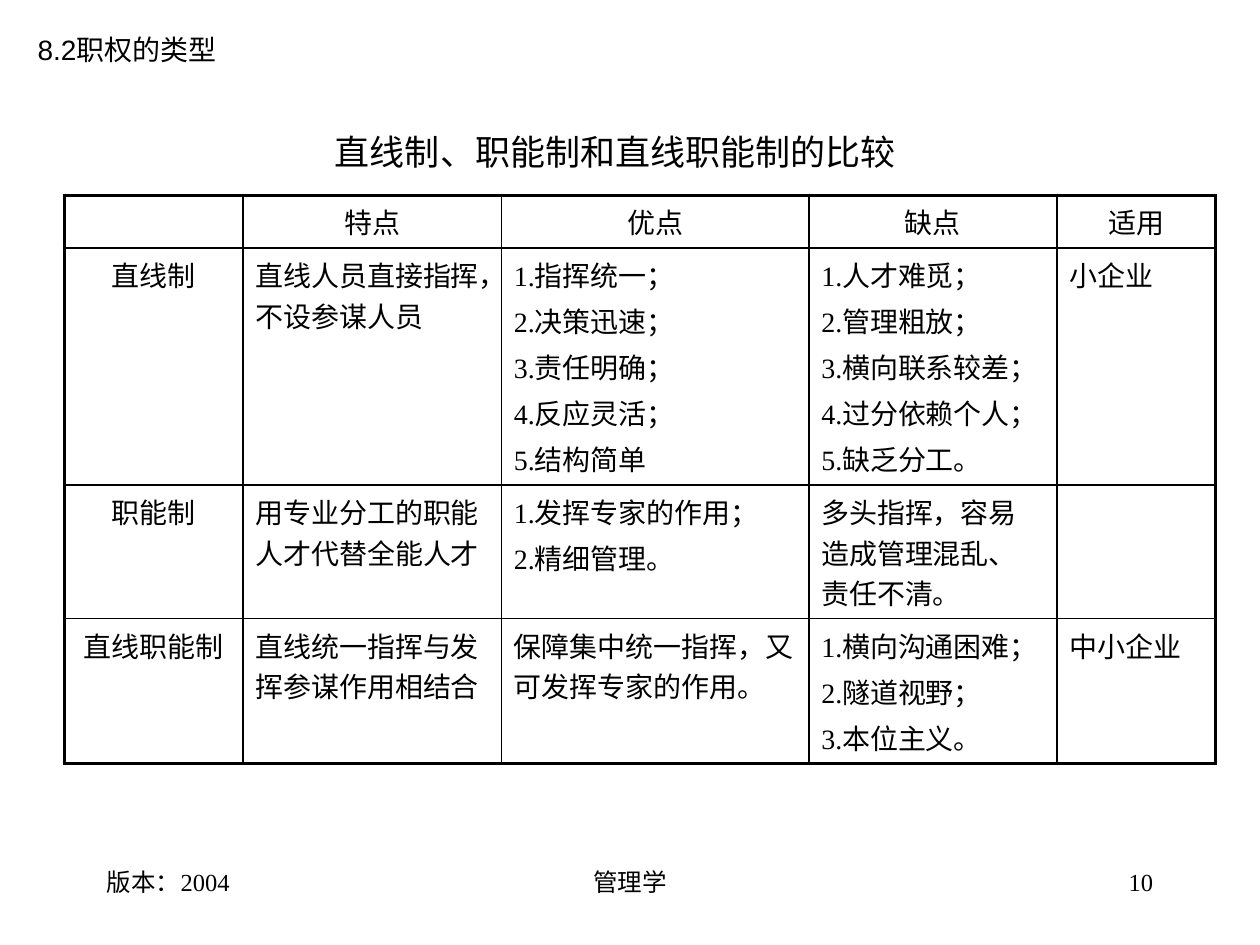
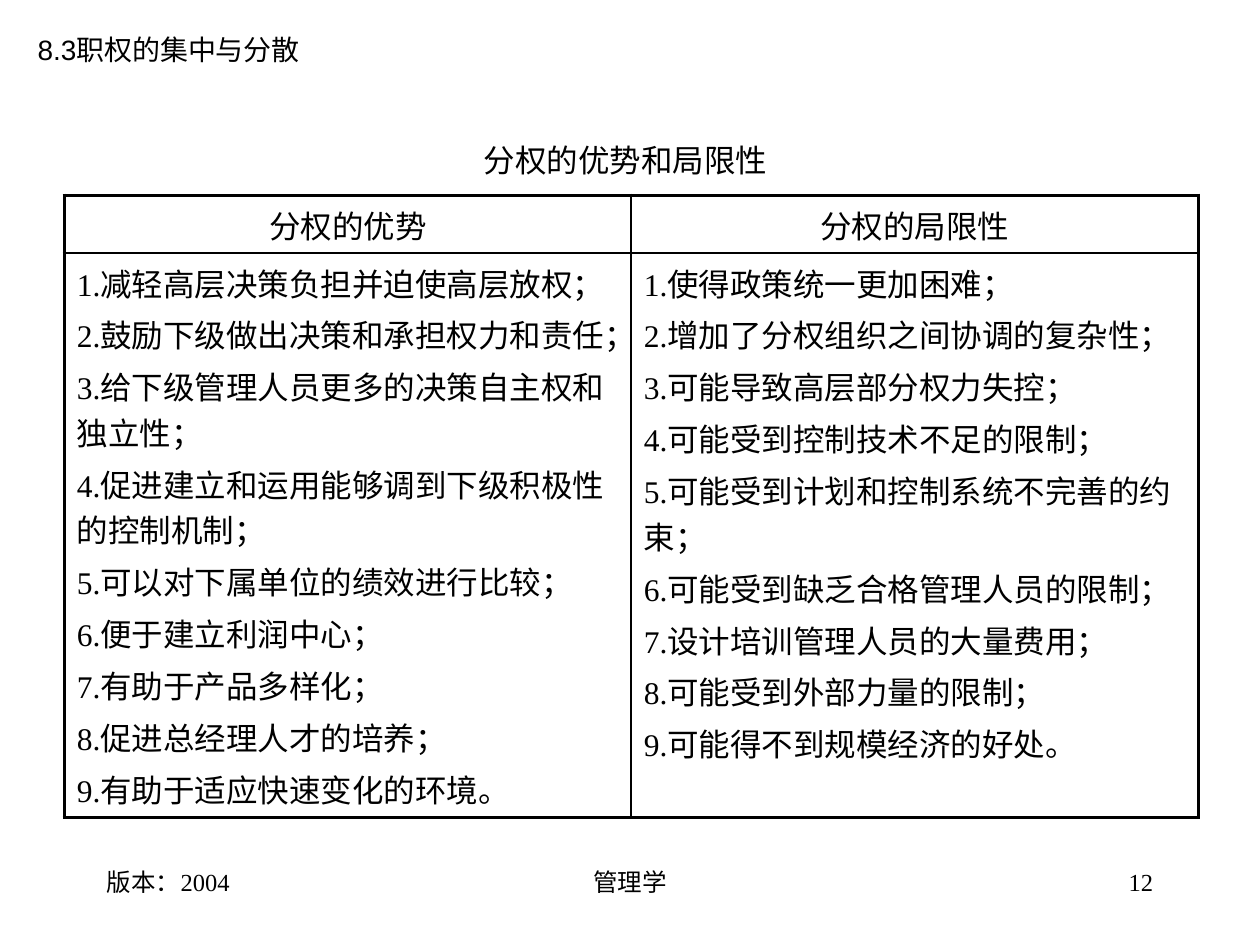
from lxml import etree
from pptx import Presentation
from pptx import util as u
from pptx.dml import color
from pptx.enum import text
from pptx.oxml import ns

COLORS = {"ink": "000000"}
SERIF, SANS = "Times New Roman", "Arial"
ALIGN = text.PP_ALIGN
OUTER, INNER = 2.25, 1

COMPARISON = [
    ["", "特点", "优点", "缺点", "适用"],
    ["直线制", "直线人员直接指挥，不设参谋人员",
     "1.指挥统一；\n2.决策迅速；\n3.责任明确；\n4.反应灵活；\n5.结构简单",
     "1.人才难觅；\n2.管理粗放；\n3.横向联系较差；\n4.过分依赖个人；\n5.缺乏分工。",
     "小企业"],
    ["职能制", "用专业分工的职能人才代替全能人才",
     "1.发挥专家的作用；\n2.精细管理。",
     "多头指挥，容易造成管理混乱、责任不清。", ""],
    ["直线职能制", "直线统一指挥与发挥参谋作用相结合",
     "保障集中统一指挥，又可发挥专家的作用。",
     "1.横向沟通困难；\n2.隧道视野；\n3.本位主义。", "中小企业"],
]

DECENTRALIZATION = [
    ["分权的优势", "分权的局限性"],
    ["1.减轻高层决策负担并迫使高层放权；\n"
     "2.鼓励下级做出决策和承担权力和责任；\n"
     "3.给下级管理人员更多的决策自主权和独立性；\n"
     "4.促进建立和运用能够调到下级积极性的控制机制；\n"
     "5.可以对下属单位的绩效进行比较；\n"
     "6.便于建立利润中心；\n"
     "7.有助于产品多样化；\n"
     "8.促进总经理人才的培养；\n"
     "9.有助于适应快速变化的环境。",
     "1.使得政策统一更加困难；\n"
     "2.增加了分权组织之间协调的复杂性；\n"
     "3.可能导致高层部分权力失控；\n"
     "4.可能受到控制技术不足的限制；\n"
     "5.可能受到计划和控制系统不完善的约束；\n"
     "6.可能受到缺乏合格管理人员的限制；\n"
     "7.设计培训管理人员的大量费用；\n"
     "8.可能受到外部力量的限制；\n"
     "9.可能得不到规模经济的好处。"],
]


def write(frame, words, size, font, align=ALIGN.LEFT):
    for index, line in enumerate(words.split("\n")):
        para = frame.add_paragraph() if index else frame.paragraphs[0]
        para.alignment = align
        if index:
            para.space_before = u.Pt(size * 0.2)
        if not line:
            etree.SubElement(para._p, ns.qn("a:endParaRPr"), sz=str(size * 100))
            continue
        span = para.add_run()
        span.text = line
        for name, value in {"size": u.Pt(size), "name": font}.items():
            setattr(span.font, name, value)
        span.font.color.rgb = color.RGBColor.from_string(COLORS["ink"])


def add_text(page, box, words, size, font, align=ALIGN.LEFT):
    frame = page.shapes.add_textbox(*map(u.Inches, box)).text_frame
    frame.word_wrap = True
    write(frame, words, size, font, align)


def add_footer(page, number, box=(0.75, 6.83, 8.5, 0.5)):
    left, top, width, height = box
    side, middle = 2.08, 3.17
    parts = [
        (left, side, "版本：2004", ALIGN.LEFT),
        (left + (width - middle) / 2, middle, "管理学", ALIGN.CENTER),
        (left + width - side, side, str(number), ALIGN.RIGHT),
    ]
    for start, span_width, words, align in parts:
        add_text(page, (start, top, span_width, height), words, 14, SERIF, align)


def border_cell(cell, widths):
    props = cell._tc.get_or_add_tcPr()
    for place, (side, width) in enumerate(widths.items()):
        line = etree.Element(ns.qn(f"a:{side}"), w=str(u.Pt(width)))
        fill = etree.SubElement(line, ns.qn("a:solidFill"))
        etree.SubElement(fill, ns.qn("a:srgbClr"), val=COLORS["ink"])
        props.insert(place, line)


def add_grid(page, corner, rows, widths, heights, size, label_column):
    box = (*corner, sum(widths), sum(heights))
    table = page.shapes.add_table(len(rows), len(widths), *map(u.Inches, box)).table
    for flag in ("first_row", "horz_banding"):
        setattr(table, flag, False)
    for column, width in zip(table.columns, widths):
        column.width = u.Inches(width)
    for row, height in zip(table.rows, heights):
        row.height = u.Inches(height)
    last_row, last_column = len(rows) - 1, len(widths) - 1
    for r, row in enumerate(rows):
        for c, words in enumerate(row):
            cell = table.cell(r, c)
            cell.fill.background()
            centred = r == 0 or (label_column and c == 0)
            write(cell.text_frame, words, size, SERIF,
                  ALIGN.CENTER if centred else ALIGN.LEFT)
            border_cell(cell, {
                "lnL": OUTER if c == 0 else INNER,
                "lnR": OUTER if c == last_column else INNER,
                "lnT": OUTER if r == 0 else INNER,
                "lnB": OUTER if r == last_row else INNER,
            })


def add_page(deck, number, section, section_width, title, title_box, title_size, grid):
    page = deck.slides.add_slide(deck.slide_layouts[6])
    add_footer(page, number)
    add_grid(page, (0.51, 1.55), **grid)
    add_text(page, title_box, title, title_size, SANS)
    add_text(page, (0.2, 0.21, section_width, 0.37), section, 16, SANS)


def main():
    deck = Presentation()
    deck.slide_width, deck.slide_height = u.Inches(10), u.Inches(7.5)
    add_page(deck, 10, "8.2职权的类型", 1.62,
             "直线制、职能制和直线职能制的比较", (2.56, 0.99, 4.8, 0.43), 20,
             dict(rows=COMPARISON, widths=(1.42, 2.05, 2.44, 1.97, 1.26),
                  heights=(0.42, 1.88, 1.06, 1.15), size=16, label_column=True))
    add_page(deck, 12, "8.3职权的集中与分散", 2.29,
             "分权的优势和局限性", (3.74, 1.07, 2.52, 0.4), 18,
             dict(rows=DECENTRALIZATION, widths=(4.5, 4.5),
                  heights=(0.46, 4.48), size=18, label_column=False))
    deck.save("out.pptx")


if __name__ == "__main__":
    main()
